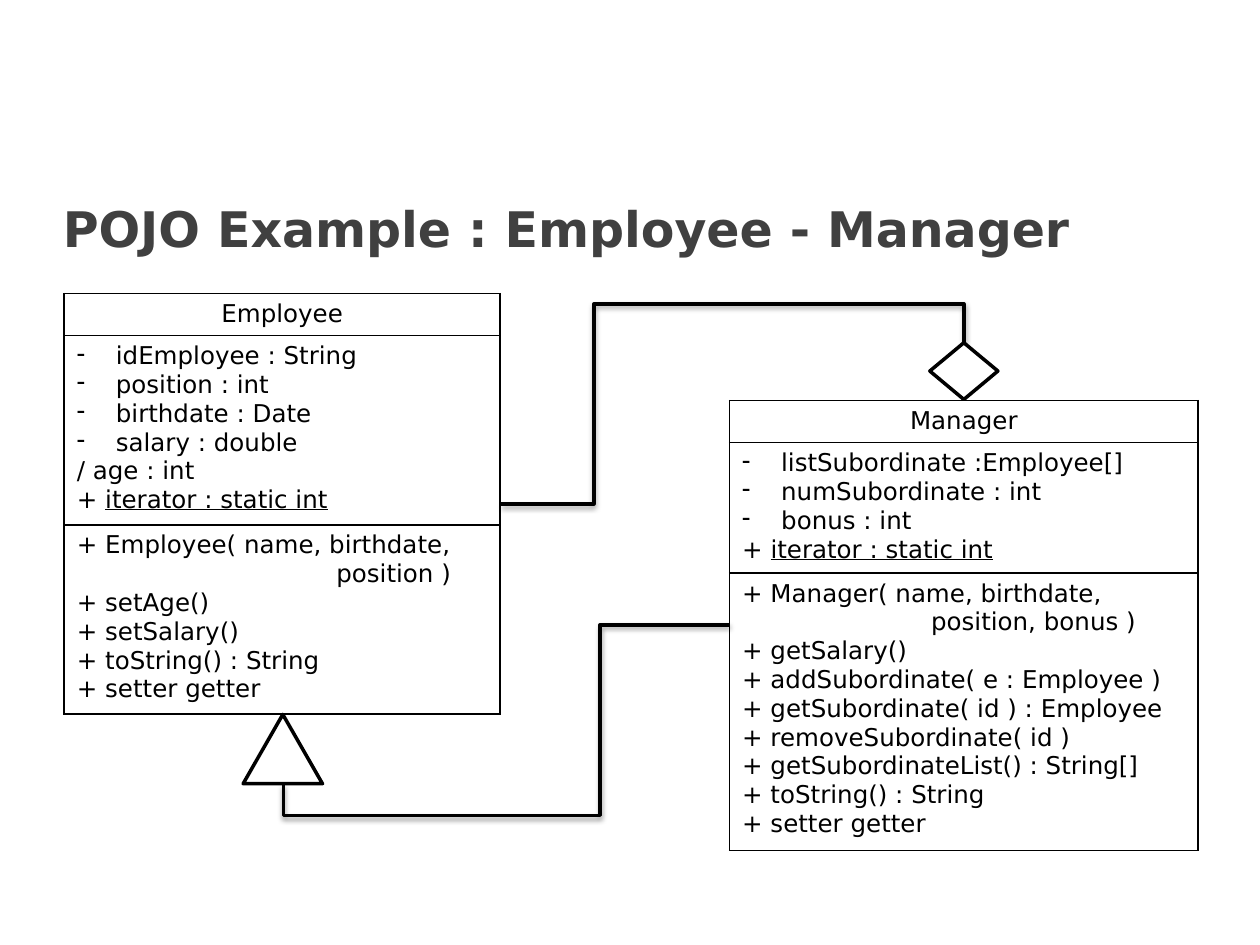
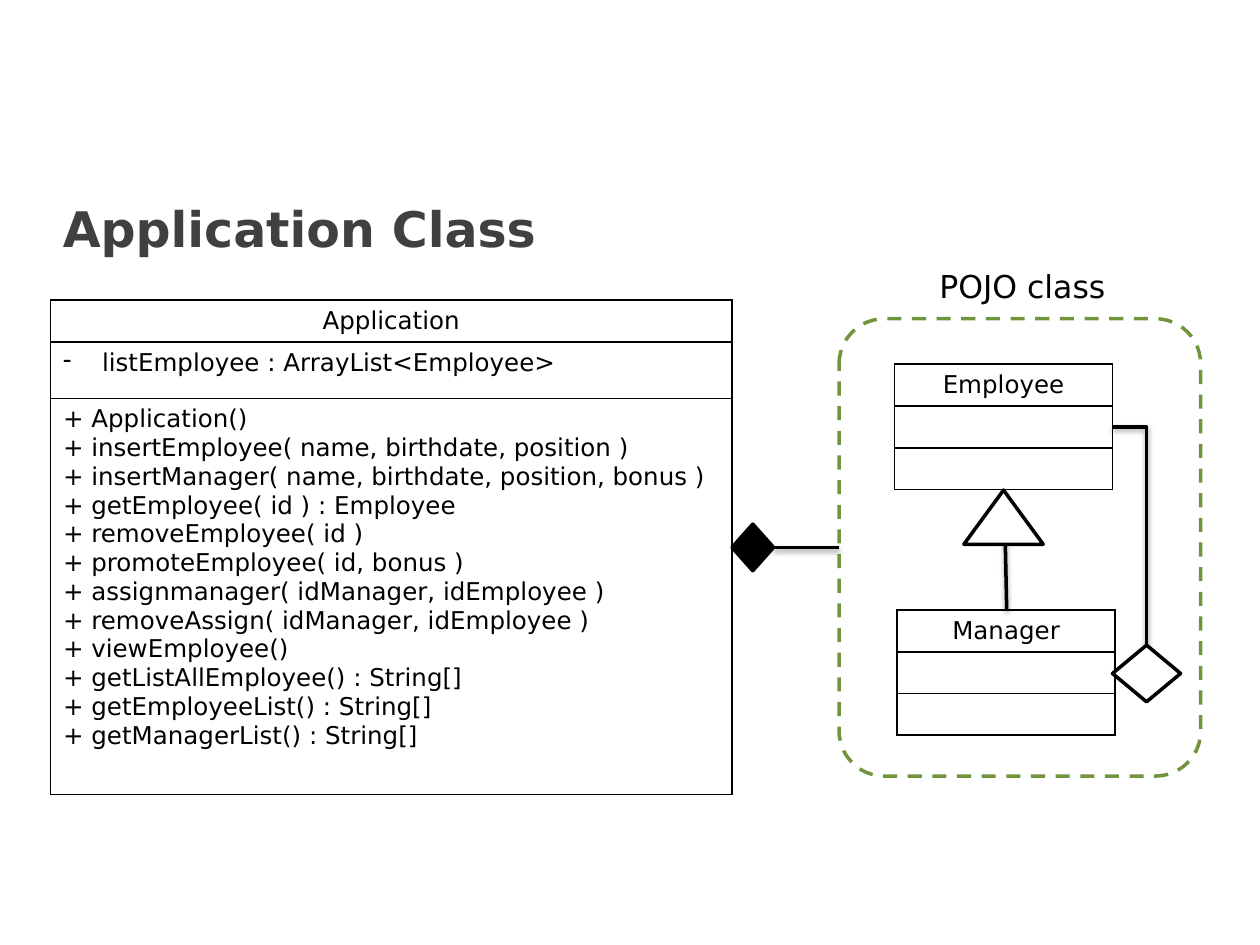
from lxml import etree
from pptx import Presentation
from pptx.dml.color import RGBColor
from pptx.enum.dml import MSO_LINE_DASH_STYLE as DASH
from pptx.enum.shapes import MSO_CONNECTOR as CONN, MSO_SHAPE as SHAPE
from pptx.enum.text import MSO_ANCHOR as ANCHOR, PP_ALIGN as ALIGN
from pptx.oxml import parse_xml
from pptx.oxml.ns import nsdecls, qn
from pptx.util import Inches, Pt

COLORS = {"ink": "000000", "paper": "FFFFFF", "title": "404040", "group": "71953D"}
FONT = "DejaVu Sans"
HEAD_H = 0.33
SHADOW = (
    f'<a:effectLst {nsdecls("a")}><a:outerShdw blurRad="39370" dist="20320" dir="5400000" '
    f'rotWithShape="0"><a:srgbClr val="{COLORS["ink"]}"><a:alpha val="38000"/></a:srgbClr>'
    '</a:outerShdw></a:effectLst>'
)


def rgb(name):
    return RGBColor.from_string(COLORS[name])


class Diagram:
    """Draws UML class diagrams in one style on the current slide."""

    def __init__(self):
        self.prs = Presentation()
        self.prs.slide_width, self.prs.slide_height = Inches(10), Inches(7.5)
        self.s = None

    def slide(self, title):
        self.s = self.prs.slides.add_slide(self.prs.slide_layouts[6])
        self.text(title, 0.4, 1.46, 9.11, 0.7, 28, "title", bold=True)

    def font(self, r, size=14, color="ink", bold=False):
        r.font.name, r.font.size, r.font.bold = FONT, Pt(size), bold
        r.font.color.rgb = rgb(color)

    def text(self, text, x, y, w, h, size, color="ink", bold=False, align=ALIGN.LEFT):
        tf = self.s.shapes.add_textbox(*map(Inches, (x, y, w, h))).text_frame
        tf.word_wrap, tf.vertical_anchor = True, ANCHOR.MIDDLE
        tf.text = text
        p = tf.paragraphs[0]
        p.alignment = align
        self.font(p.runs[0], size, color, bold)

    def member(self, p, line):
        text, indent = line if isinstance(line, tuple) else (line, 0)
        pPr = p._p.get_or_add_pPr()
        if text.startswith("- "):
            text = text[2:]
            pPr.set("marL", str(Inches(0.31)))
            pPr.set("indent", str(-Inches(0.31)))
            etree.SubElement(pPr, qn("a:buChar")).set("char", "-")
        elif indent:
            pPr.set("marL", str(Inches(indent)))
        if "static" in text:
            p.text = "+ "
            r = p.add_run()
            r.text = text[2:]
            r.font.underline = True
        else:
            p.text = text
        for r in p.runs:
            self.font(r)

    def borders(self, cell):
        tcPr = cell._tc.get_or_add_tcPr()
        for i, side in enumerate("LRTB"):
            tcPr.insert(i, parse_xml(
                f'<a:ln{side} {nsdecls("a")} w="12700"><a:solidFill>'
                f'<a:srgbClr val="{COLORS["ink"]}"/></a:solidFill></a:ln{side}>'))

    def uml_class(self, name, x, y, w, heights=(HEAD_H, HEAD_H), fields=(), methods=()):
        rows = (HEAD_H, *heights)
        frame = self.s.shapes.add_table(3, 1, *map(Inches, (x, y, w, sum(rows))))
        tbl = frame.table
        tbl.first_row = tbl.horz_banding = False
        for i, lines in enumerate(([name], fields, methods)):
            tbl.rows[i].height = Inches(rows[i])
            cell = tbl.cell(i, 0)
            cell.fill.background()
            self.borders(cell)
            if not lines:
                cell.margin_top = cell.margin_bottom = 0
            tf = cell.text_frame
            for j, line in enumerate(lines):
                self.member(tf.add_paragraph() if j else tf.paragraphs[0], line)
        tbl.cell(0, 0).text_frame.paragraphs[0].alignment = ALIGN.CENTER

    def shape(self, kind, x, y, w, h, fill="paper", line="ink"):
        sp = self.s.shapes.add_shape(kind, *map(Inches, (x, y, w, h)))
        sp.shadow.inherit = False
        if fill:
            sp.fill.solid()
            sp.fill.fore_color.rgb = rgb(fill)
        else:
            sp.fill.background()
        sp.line.color.rgb, sp.line.width = rgb(line), Pt(2)
        return sp

    def diamond(self, x, y):
        return self.shape(SHAPE.DIAMOND, x, y, 0.54, 0.45)

    def triangle(self, x, y, h):
        return self.shape(SHAPE.ISOSCELES_TRIANGLE, x, y, 0.63, h)

    def connector(self, start, end, bends=(), rotation=0):
        kind = CONN.ELBOW if bends else CONN.STRAIGHT
        c = self.s.shapes.add_connector(kind, *map(Inches, (*start, *end)))
        c.line.color.rgb, c.line.width = rgb("ink"), Pt(2)
        spPr = c._element.spPr
        spPr.append(parse_xml(SHADOW))
        if rotation:
            spPr.find(qn("a:xfrm")).set("rot", str(rotation * 60000))
        if bends:
            geom = spPr.find(qn("a:prstGeom"))
            geom.set("prst", f"bentConnector{len(bends) + 2}")
            guides = geom.find(qn("a:avLst"))
            for i, bend in enumerate(bends, 1):
                gd = etree.SubElement(guides, qn("a:gd"))
                gd.set("name", f"adj{i}" if len(bends) > 1 else "adj1")
                gd.set("fmla", f"val {round(bend * 100000)}")
        return c


def employee_manager(d):
    d.slide("POJO Example : Employee - Manager")
    d.uml_class(
        "Employee", 0.51, 2.33, 3.46, (1.47, 1.47),
        ["- idEmployee : String", "- position : int", "- birthdate : Date",
         "- salary : double", "/ age : int", "+ iterator : static int"],
        ["+ Employee( name, birthdate,", ("position )", 2.06), "+ setAge()",
         "+ setSalary()", "+ toString() : String", "+ setter getter"])
    d.uml_class(
        "Manager", 5.79, 3.18, 3.72, (1.02, 2.16),
        ["- listSubordinate :Employee[]", "- numSubordinate : int", "- bonus : int",
         "+ iterator : static int"],
        ["+ Manager( name, birthdate,", ("position, bonus )", 1.5), "+ getSalary()",
         "+ addSubordinate( e : Employee )", "+ getSubordinate( id ) : Employee",
         "+ removeSubordinate( id )", "+ getSubordinateList() : String[]",
         "+ toString() : String", "+ setter getter"])
    d.connector((4.65, 7.36), (3.39, 3.82), (-0.2, 0.71), rotation=90)
    d.connector((3.98, 4), (7.65, 2.72), (0.2, 1.24))
    d.diamond(7.38, 2.72)
    d.triangle(1.93, 5.67, 0.55)


def application_class(d):
    d.slide("Application Class")
    d.uml_class("Employee", 7.1, 2.89, 1.73)
    d.uml_class("Manager", 7.12, 4.84, 1.73)
    d.connector((7.97, 3.89), (7.99, 4.84))
    d.connector((8.83, 3.39), (8.85, 5.34), (13.5,))
    d.diamond(8.83, 5.12)
    d.triangle(7.65, 3.89, 0.43)
    d.text("POJO class", 7.33, 2.07, 1.57, 0.4, 18, align=ALIGN.CENTER)
    d.uml_class(
        "Application", 0.4, 2.38, 5.41, (0.45, 3.14),
        ["- listEmployee : ArrayList<Employee>"],
        ["+ Application()", "+ insertEmployee( name, birthdate, position )",
         "+ insertManager( name, birthdate, position, bonus )",
         "+ getEmployee( id ) : Employee", "+ removeEmployee( id )",
         "+ promoteEmployee( id, bonus )", "+ assignmanager( idManager, idEmployee )",
         "+ removeAssign( idManager, idEmployee )", "+ viewEmployee()",
         "+ getListAllEmployee() : String[]", "+ getEmployeeList() : String[]",
         "+ getManagerList() : String[]"])
    group = d.shape(SHAPE.ROUNDED_RECTANGLE, 6.66, 2.53, 2.87, 3.63, None, "group")
    group.adjustments[0] = 0.125
    group.line.dash_style = DASH.DASH
    owner = d.shape(SHAPE.DIAMOND, 5.81, 4.16, 0.33, 0.37, "ink")
    link = d.connector((6.66, 4.34), (6.14, 4.34))
    link.begin_connect(group, 1)
    link.end_connect(owner, 3)


def main():
    d = Diagram()
    employee_manager(d)
    application_class(d)
    d.prs.save("out.pptx")


if __name__ == "__main__":
    main()
